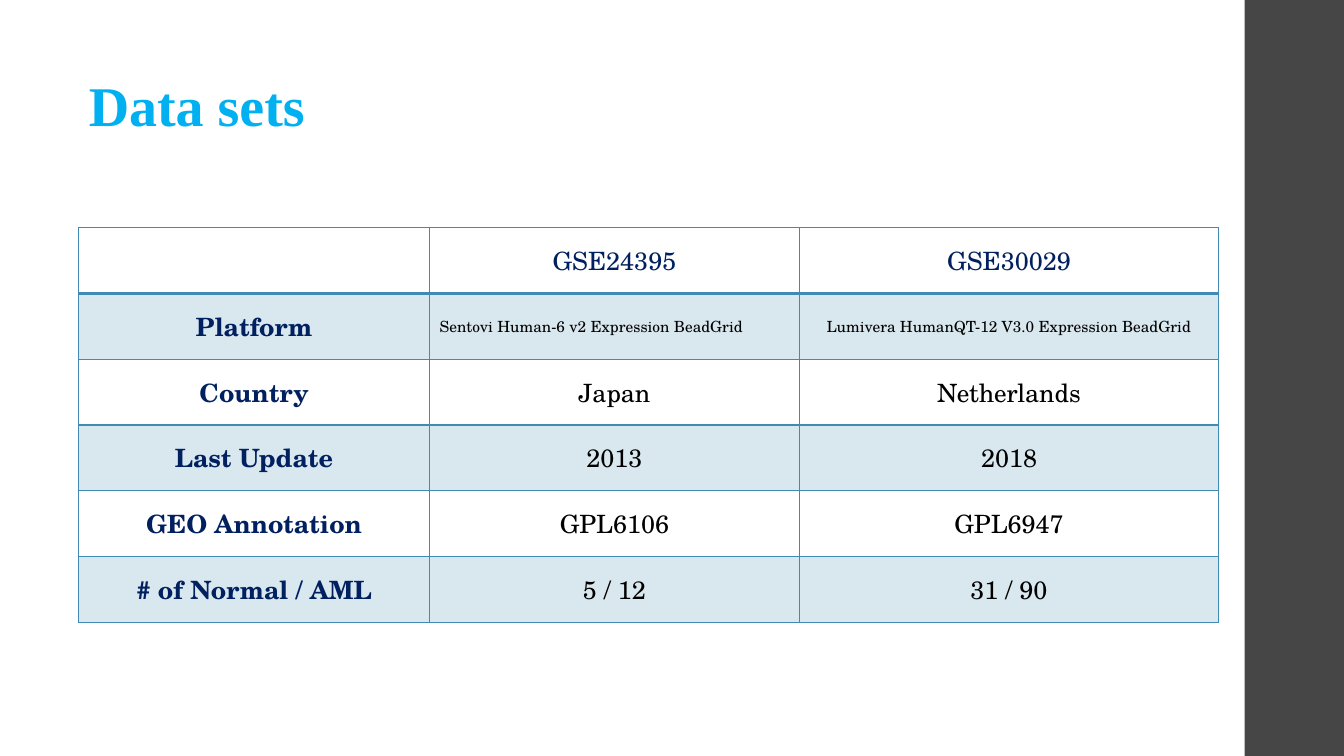
from lxml.etree import SubElement
from pptx import Presentation
from pptx.dml.color import RGBColor
from pptx.enum.shapes import MSO_SHAPE
from pptx.enum.text import MSO_ANCHOR, MSO_AUTO_SIZE, PP_ALIGN
from pptx.oxml.ns import qn
from pptx.util import Pt

NAVY, BLACK, STEEL = "002060", "000000", "418AB3"
TITLE_FONT, TABLE_FONT = "Times New Roman", "TeX Gyre Schola"
COLUMN_WIDTHS = (250.6, 264.2, 299.5)
ROW_HEIGHT = 46.95
DATA_SETS = [
    ("", "GSE24395", "GSE30029"),
    ("Platform", "Sentovi Human-6 v2 Expression BeadGrid",
     "Lumivera HumanQT-12 V3.0 Expression BeadGrid"),
    ("Country", "Japan", "Netherlands"),
    ("Last Update", "2013", "2018"),
    ("GEO Annotation", "GPL6106", "GPL6947"),
    ("# of Normal / AML", "5 / 12", "31 / 90"),
]


def rgb(color):
    return RGBColor.from_string(color)


def set_all(target, values):
    for name, value in values.items():
        setattr(target, name, value)


def write(frame, text, font, size, color, bold, align):
    paragraph = frame.paragraphs[0]
    paragraph.alignment = align
    run = paragraph.add_run()
    run.text = text
    set_all(run.font, {"name": font, "size": Pt(size), "bold": bold})
    run.font.color.rgb = rgb(color)


def add_title(slide, text):
    title = slide.shapes.title
    set_all(title, {"left": Pt(56.2), "top": Pt(46.8),
                    "width": Pt(274.3), "height": Pt(54.7)})
    set_all(title.text_frame, {"word_wrap": True,
                               "auto_size": MSO_AUTO_SIZE.SHAPE_TO_FIT_TEXT,
                               "vertical_anchor": MSO_ANCHOR.TOP})
    write(title.text_frame, text, TITLE_FONT, 40, "00B0F0", True, PP_ALIGN.LEFT)


def add_sidebar(slide):
    sidebar = slide.shapes.add_shape(
        MSO_SHAPE.RECTANGLE, Pt(889), 0, Pt(71), Pt(540))
    sidebar.shadow.inherit = False
    sidebar.fill.solid()
    sidebar.fill.fore_color.rgb = rgb("464646")
    sidebar.line.fill.background()


def set_borders(cell, widths):
    properties = cell._tc.get_or_add_tcPr()
    for side, width in widths.items():
        border = SubElement(properties, qn(f"a:ln{side}"), w=str(Pt(width)))
        fill = SubElement(border, qn("a:solidFill"))
        SubElement(fill, qn("a:srgbClr"), val=STEEL)


def set_fill(cell, banded):
    if not banded:
        cell.fill.background()
        return
    cell.fill.solid()
    cell.fill.fore_color.rgb = rgb(STEEL)
    tint = cell._tc.tcPr.find(f".//{qn('a:solidFill')}[last()]")
    tint = cell._tc.tcPr.find(qn("a:solidFill")) if tint is None else tint
    tint = cell._tc.tcPr.findall(qn("a:solidFill"))[-1]
    SubElement(tint[0], qn("a:alpha"), val="20000")


def add_data_table(slide, rows):
    table = slide.shapes.add_table(
        len(rows), len(COLUMN_WIDTHS), Pt(56.2), Pt(162.7),
        Pt(sum(COLUMN_WIDTHS)), Pt(ROW_HEIGHT * len(rows))).table
    set_all(table, {"first_row": False, "horz_banding": False})
    for column, width in zip(table.columns, COLUMN_WIDTHS):
        column.width = Pt(width)
    for r, row in enumerate(rows):
        table.rows[r].height = Pt(ROW_HEIGHT)
        for c, text in enumerate(row):
            cell = table.cell(r, c)
            cell.vertical_anchor = MSO_ANCHOR.MIDDLE
            # The rule under the header is twice as thick
            set_borders(cell, {"L": 1, "R": 1, "T": 2 if r == 1 else 1,
                               "B": 2 if r == 0 else 1})
            set_fill(cell, r % 2 == 1)
            # Platform names are small, and the first one is left-aligned
            platform = r == 1 and c > 0
            if platform and c == 2:
                set_all(cell, {"margin_left": Pt(1.4), "margin_right": Pt(1.4)})
            if text:
                write(cell.text_frame, text, TABLE_FONT, 11 if platform else 18,
                      NAVY if r == 0 or c == 0 else BLACK, c == 0,
                      PP_ALIGN.LEFT if platform and c == 1 else PP_ALIGN.CENTER)


def main():
    deck = Presentation()
    set_all(deck, {"slide_width": Pt(960), "slide_height": Pt(540)})
    slide = deck.slides.add_slide(deck.slide_layouts[5])
    add_sidebar(slide)
    add_title(slide, "Data sets")
    add_data_table(slide, DATA_SETS)
    deck.save("out.pptx")


if __name__ == "__main__":
    main()
